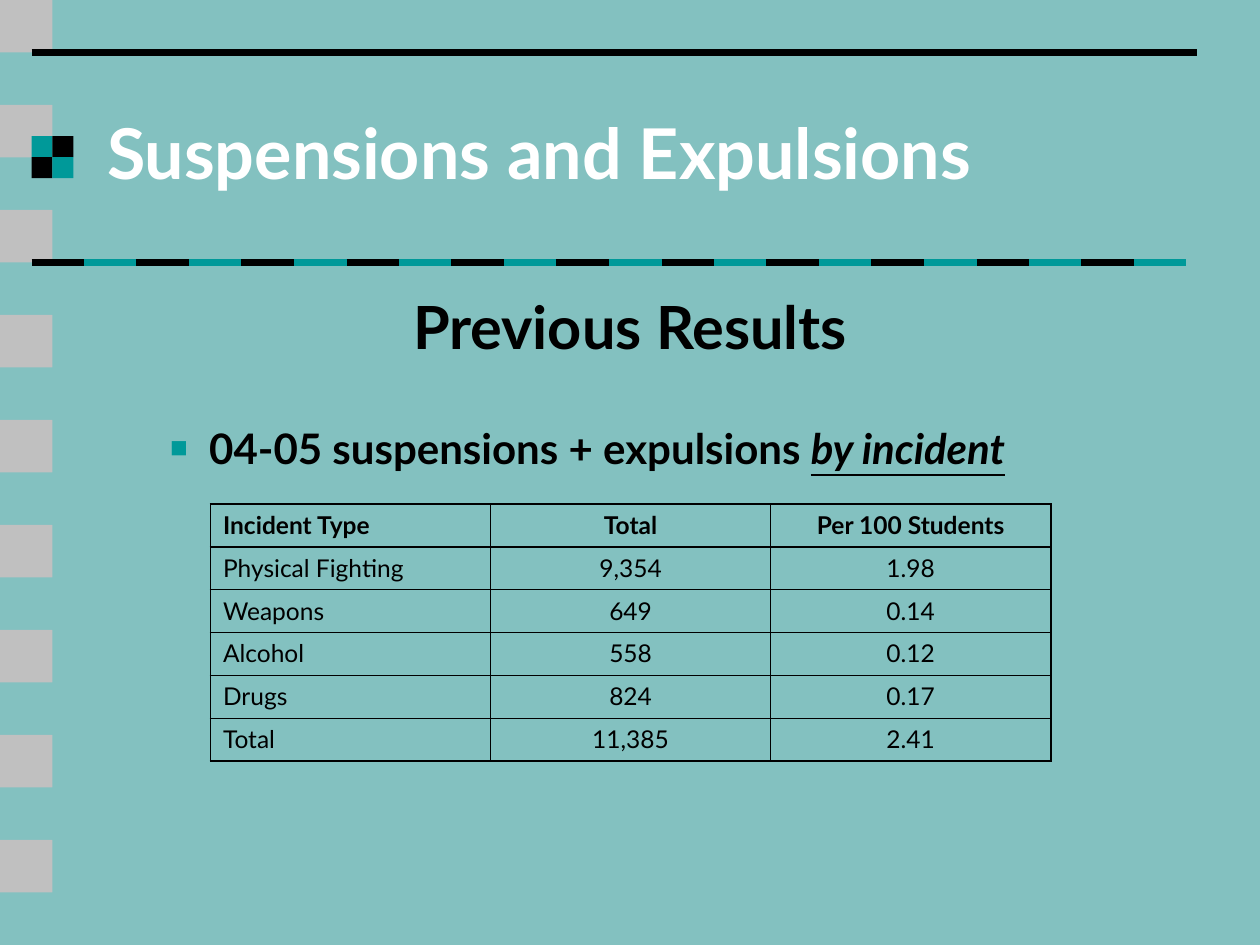
from dataclasses import dataclass

from lxml.etree import SubElement
from pptx import Presentation
from pptx.dml.color import RGBColor
from pptx.enum.shapes import MSO_CONNECTOR, MSO_SHAPE
from pptx.enum.text import MSO_ANCHOR, MSO_AUTO_SIZE, PP_ALIGN
from pptx.oxml.ns import qn
from pptx.util import Inches, Pt


@dataclass(frozen=True)
class Theme:
    font: str = "Lato"
    background: str = "83C1C0"
    accent: str = "009999"
    dark: str = "000000"
    light: str = "FFFFFF"
    edge: str = "C0C0C0"
    title: float = 40
    heading: float = 34
    bullet: float = 24
    cell: float = 14
    rule: float = 4.5
    thick: float = 1.08
    thin: float = 0.45


THEME = Theme()
TILE = 5 / 12
MARGIN = 0.25
ROWS = [
    ("Incident Type", "Total", "Per 100 Students"),
    ("Physical Fighting", "9,354", "1.98"),
    ("Weapons", "649", "0.14"),
    ("Alcohol", "558", "0.12"),
    ("Drugs", "824", "0.17"),
    ("Total", "11,385", "2.41"),
]


def add_run(p, text, size, color=THEME.dark, bold=False, italic=None, underline=None):
    r = p.add_run()
    r.text = text
    font = r.font
    font.name, font.size = THEME.font, Pt(size)
    font.bold, font.italic, font.underline = bold, italic, underline
    font.color.rgb = RGBColor.from_string(color)


def add_square(s, x, y, size, color):
    sp = s.shapes.add_shape(MSO_SHAPE.RECTANGLE, Inches(x), Inches(y), Inches(size), Inches(size))
    sp.shadow.inherit = False
    sp.fill.solid()
    sp.fill.fore_color.rgb = RGBColor.from_string(color)
    sp.line.fill.background()


def add_rule(s, x1, x2, y, color):
    line = s.shapes.add_connector(MSO_CONNECTOR.STRAIGHT, Inches(x1), Inches(y), Inches(x2), Inches(y))
    line.line.color.rgb = RGBColor.from_string(color)
    line.line.width = Pt(THEME.rule)
    SubElement(line._element.spPr, qn("a:effectLst"))


def add_decoration(s):
    for i in range(9):
        add_square(s, 0, 2 * i * TILE, TILE, THEME.edge)
    add_rule(s, MARGIN, 9.5, TILE, THEME.dark)
    small = TILE * 0.4
    for row in range(2):
        for col in range(2):
            color = THEME.accent if row == col else THEME.dark
            add_square(s, MARGIN + col * small, 1.08 + row * small, small, color)
    for i in range(22):
        x = MARGIN + i * TILE
        add_rule(s, x, x + TILE, 5 * TILE, THEME.accent if i % 2 else THEME.dark)


def place(ph, x, y, w, h, anchor):
    """Move a placeholder and return its text frame."""
    ph.left, ph.top, ph.width, ph.height = map(Inches, (x, y, w, h))
    tf = ph.text_frame
    tf.auto_size, tf.vertical_anchor = MSO_AUTO_SIZE.NONE, anchor
    return tf


def set_bullet(p, char=None, indent=0.0, hanging=0.0):
    pPr = p._p.get_or_add_pPr()
    pPr.set("marL", str(Inches(indent)))
    pPr.set("indent", str(-Inches(hanging)))
    if char is None:
        SubElement(pPr, qn("a:buNone"))
        return
    SubElement(SubElement(pPr, qn("a:buClr")), qn("a:srgbClr"), val=THEME.accent)
    SubElement(pPr, qn("a:buSzPct"), val="70000")
    SubElement(pPr, qn("a:buChar"), char=char)


def fill_title(ph):
    p = place(ph, 0.75, 0.58, 8.5, 1.25, MSO_ANCHOR.MIDDLE).paragraphs[0]
    p.alignment = PP_ALIGN.LEFT
    add_run(p, "Suspensions and Expulsions", THEME.title, THEME.light, bold=True)


def fill_body(ph):
    tf = place(ph, 0.75, 2.25, 8.5, 4.5, MSO_ANCHOR.TOP)
    p = tf.paragraphs[0]
    p.alignment, p.space_before = PP_ALIGN.CENTER, Pt(0)
    set_bullet(p)
    add_run(p, "Previous Results", THEME.heading, bold=True)

    p = tf.add_paragraph()
    p.level, p.space_before = 1, Pt(35)
    set_bullet(p, "■", indent=0.81, hanging=0.31)
    add_run(p, "04-05 suspensions + expulsions ", THEME.bullet, bold=True)
    add_run(p, "by incident", THEME.bullet, bold=True, italic=True, underline=True)


def set_borders(cell, **widths):
    tcPr = cell._tc.get_or_add_tcPr()
    for side, width in widths.items():
        ln = SubElement(tcPr, qn(f"a:ln{side}"), w=str(Pt(width)))
        SubElement(SubElement(ln, qn("a:solidFill")), qn("a:srgbClr"), val=THEME.dark)


def add_incident_table(s):
    n_rows, n_cols, row_h = len(ROWS), len(ROWS[0]), 0.34
    table = s.shapes.add_table(n_rows, n_cols, Inches(1.67), Inches(4),
                               Inches(6.67), Inches(n_rows * row_h)).table
    table.first_row = table.horz_banding = False
    for i, row in enumerate(ROWS):
        table.rows[i].height = Inches(row_h)
        for j, text in enumerate(row):
            cell = table.cell(i, j)
            p = cell.text_frame.paragraphs[0]
            p.alignment = PP_ALIGN.CENTER if j else PP_ALIGN.LEFT
            add_run(p, text, THEME.cell, bold=i == 0)
            set_borders(
                cell,
                L=THEME.thin if j else THEME.thick,
                R=THEME.thick if j == n_cols - 1 else THEME.thin,
                T=THEME.thick if i < 2 else THEME.thin,
                B=THEME.thick if i in (0, n_rows - 1) else THEME.thin,
            )
            cell.fill.background()


def main():
    prs = Presentation()
    prs.slide_width, prs.slide_height = Inches(10), Inches(7.5)
    s = prs.slides.add_slide(prs.slide_layouts[1])
    s.background.fill.solid()
    s.background.fill.fore_color.rgb = RGBColor.from_string(THEME.background)
    add_decoration(s)
    fill_title(s.shapes.title)
    fill_body(s.placeholders[1])
    add_incident_table(s)
    prs.save("out.pptx")


if __name__ == "__main__":
    main()
